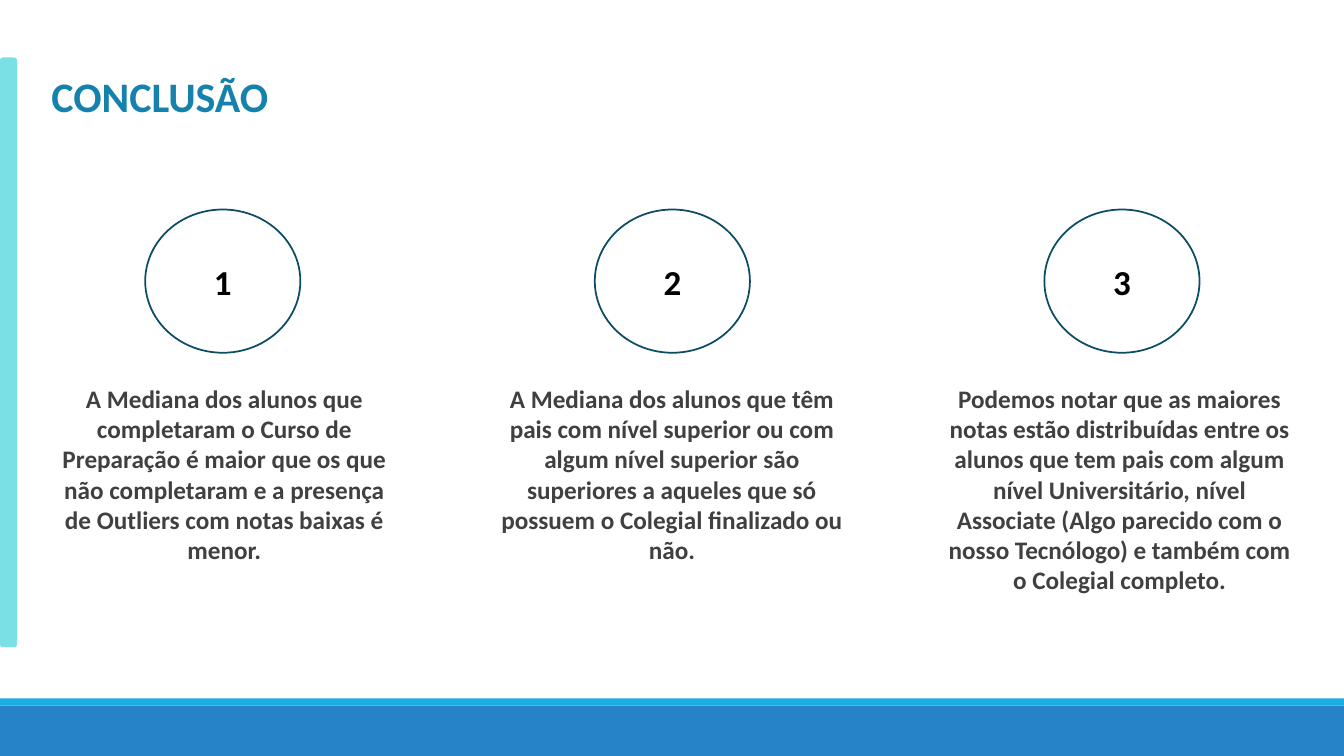
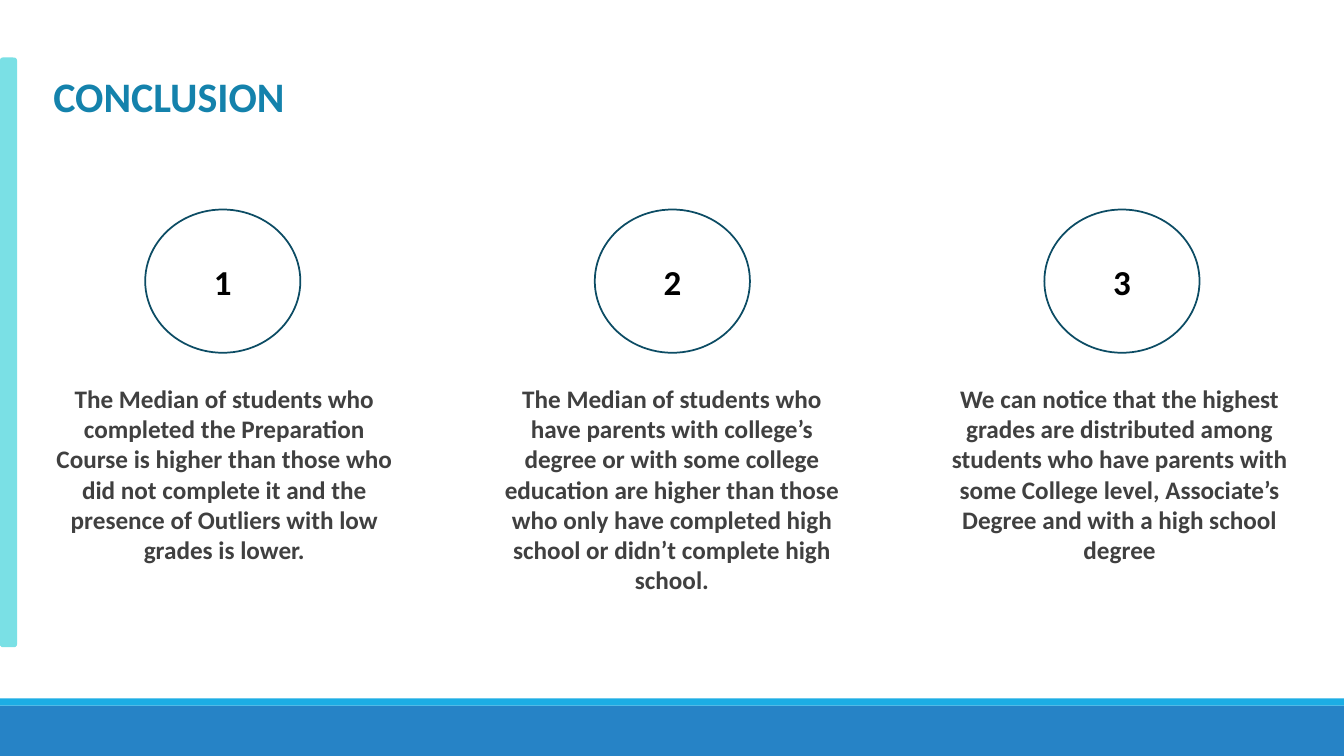
from dataclasses import dataclass

from pptx import Presentation
from pptx.dml.color import RGBColor
from pptx.enum.shapes import MSO_SHAPE
from pptx.enum.text import MSO_ANCHOR, PP_ALIGN
from pptx.util import Cm, Pt

PAGES = [
    {
        "title": "CONCLUSÃO",
        "width": 6.12,
        "points": [
            "A Mediana dos alunos que completaram o Curso de Preparação é maior que os que não "
            "completaram e a presença de Outliers com notas baixas é menor.",
            "A Mediana dos alunos que têm pais com nível superior ou com algum nível superior são "
            "superiores a aqueles que só possuem o Colegial finalizado ou não.",
            "Podemos notar que as maiores notas estão distribuídas entre os alunos que tem pais com "
            "algum nível Universitário, nível Associate (Algo parecido com o nosso Tecnólogo) "
            "e também com o Colegial completo.",
        ],
    },
    {
        "title": "CONCLUSION",
        "width": 6.58,
        "points": [
            "The Median of students who completed the Preparation Course is higher than those who "
            "did not complete it and the presence of Outliers with low grades is lower.",
            "The Median of students who have parents with college’s degree or with some college "
            "education are higher than those who only have completed high school or didn’t "
            "complete high school.",
            "We can notice that the highest grades are distributed among students who have parents "
            "with some College level, Associate’s Degree and with a high school degree",
        ],
    },
]


@dataclass(frozen=True)
class Theme:
    font: str = "Calibri"
    band: str = "2683C6"
    stripe: str = "1CADE4"
    bar: str = "7AE0E5"
    title: str = "1482AC"
    ring: str = "0C4C64"
    disc: str = "FFFFFF"
    number: str = "000000"
    body: str = "404040"
    title_size: int = 30
    number_size: int = 25
    body_size: int = 18


THEME = Theme()
WIDE, HIGH = 33.87, 19.05
LEFT = 0.97
BODY_STEP = 11.28
RING_LEFT, RING_STEP = 3.66, 11.33


def put_text(shape, text, size, color, anchor=MSO_ANCHOR.TOP):
    frame = shape.text_frame
    frame.word_wrap = True
    frame.vertical_anchor = anchor
    para = frame.paragraphs[0]
    para.alignment = PP_ALIGN.CENTER
    run = para.add_run()
    run.text = text
    font = run.font
    font.name = THEME.font
    font.size = Pt(size)
    font.bold = True
    font.color.rgb = RGBColor.from_string(color)


def add_box(slide, area, text, **style):
    box = slide.shapes.add_textbox(*map(Cm, area))
    put_text(box, text, **style)


def add_form(slide, kind, area, fill, line=None):
    form = slide.shapes.add_shape(kind, *map(Cm, area))
    form.shadow.inherit = False
    form.fill.solid()
    form.fill.fore_color.rgb = RGBColor.from_string(fill)
    if line:
        form.line.color.rgb = RGBColor.from_string(line)
        form.line.width = Pt(1.25)
    else:
        form.line.fill.background()
    return form


def add_frame(slide, title, width):
    add_form(slide, MSO_SHAPE.RECTANGLE, (0, 17.78, WIDE, 1.27), THEME.band)
    add_form(slide, MSO_SHAPE.RECTANGLE, (0, 17.6, WIDE, 0.18), THEME.stripe)
    add_box(slide, (LEFT, 1.65, width, 1.55), title,
            size=THEME.title_size, color=THEME.title)
    add_form(slide, MSO_SHAPE.ROUNDED_RECTANGLE, (0, 1.45, 0.43, 14.86), THEME.bar)


def add_point(slide, index, text):
    area = (RING_LEFT + index * RING_STEP, 5.28, 3.91, 3.61)
    ring = add_form(slide, MSO_SHAPE.OVAL, area, THEME.disc, line=THEME.ring)
    put_text(ring, str(index + 1), size=THEME.number_size, color=THEME.number,
             anchor=MSO_ANCHOR.MIDDLE)
    add_box(slide, (LEFT + index * BODY_STEP, 9.53, 9.37, 5.64), text,
            size=THEME.body_size, color=THEME.body)


def main():
    deck = Presentation()
    deck.slide_width, deck.slide_height = Cm(WIDE), Cm(HIGH)
    for page in PAGES:
        slide = deck.slides.add_slide(deck.slide_layouts[6])
        add_frame(slide, page["title"], page["width"])
        for index, text in enumerate(page["points"]):
            add_point(slide, index, text)
    deck.save("out.pptx")


if __name__ == "__main__":
    main()
